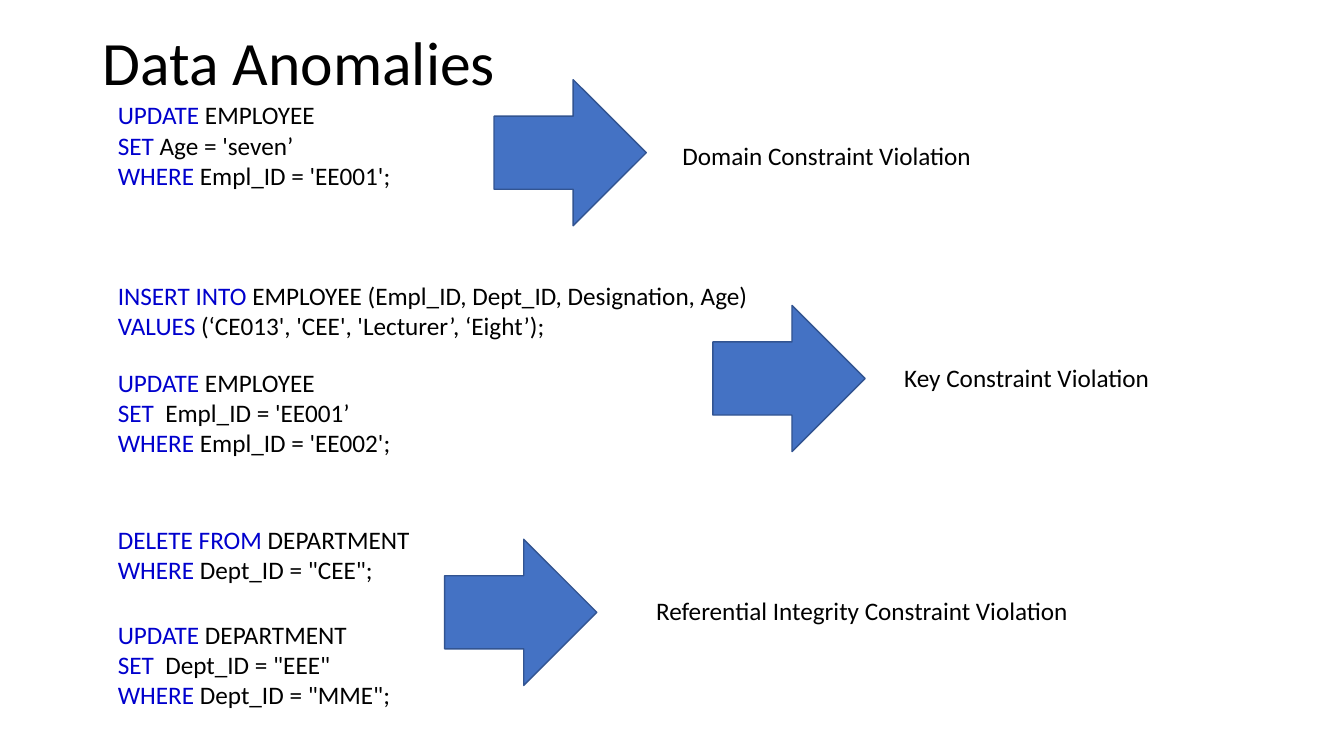
import pptx
import pptx.util
import pptx.dml.color
import pptx.enum.shapes
import pptx.enum.text

Inches = pptx.util.Inches
Pt = pptx.util.Pt
ANCHOR = pptx.enum.text.MSO_ANCHOR
FIT = pptx.enum.text.MSO_AUTO_SIZE

COLORS = {"text": "000000", "key": "0000CD", "fill": "4472C4", "edge": "325491"}
FONT = "Calibri"
TITLE = "Data Anomalies"
QUERIES = [
    (0.94, [("UPDATE", " EMPLOYEE"),
            ("SET", " Age = 'seven’"),
            ("WHERE", " Empl_ID = 'EE001';")]),
    (2.73, [("INSERT INTO", " EMPLOYEE (Empl_ID, Dept_ID, Designation, Age)"),
            ("VALUES", " (‘CE013', 'CEE', 'Lecturer’, ‘Eight’);")]),
    (3.59, [("UPDATE", " EMPLOYEE"),
            ("SET", "  Empl_ID = 'EE001’"),
            ("WHERE", " Empl_ID = 'EE002';")]),
    (5.15, [("DELETE FROM", " DEPARTMENT"),
            ("WHERE", ' Dept_ID = "CEE";')]),
    (6.09, [("UPDATE", " DEPARTMENT"),
            ("SET", '  Dept_ID = "EEE"'),
            ("WHERE", ' Dept_ID = "MME";')]),
]
ARROWS = [(4.9, 0.79), (7.07, 3.03), (4.41, 5.35)]
LABELS = [
    (6.67, 1.34, 3.1, "Domain Constraint Violation"),
    (8.87, 3.55, 2.66, "Key Constraint Violation"),
    (6.41, 5.86, 4.33, "Referential Integrity Constraint Violation"),
]


def color(name):
    return pptx.dml.color.RGBColor.from_string(COLORS[name])


def add_box(slide, left, top, width, height, lines, size=18, wrap=True):
    box = slide.shapes.add_textbox(
        Inches(left), Inches(top), Inches(width), Inches(height))
    frame = box.text_frame
    frame.word_wrap = wrap
    frame.auto_size = FIT.SHAPE_TO_FIT_TEXT
    for i, parts in enumerate(lines):
        para = frame.paragraphs[0] if i == 0 else frame.add_paragraph()
        for name, text in parts:
            run = para.add_run()
            run.text = text
            run.font.name = FONT
            run.font.size = Pt(size)
            run.font.color.rgb = color(name)
    return frame


def add_arrow(slide, left, top):
    arrow = slide.shapes.add_shape(
        pptx.enum.shapes.MSO_SHAPE.RIGHT_ARROW,
        Inches(left), Inches(top), Inches(1.51), Inches(1.45))
    arrow.shadow.inherit = False
    arrow.fill.solid()
    arrow.fill.fore_color.rgb = color("fill")
    arrow.line.color.rgb = color("edge")
    arrow.line.width = Pt(1)


def main():
    deck = pptx.Presentation()
    deck.slide_width = Inches(13.33)
    deck.slide_height = Inches(7.5)
    slide = deck.slides.add_slide(deck.slide_layouts[6])

    title = add_box(slide, 0.92, -0.08, 11.5, 1.45, [[("text", TITLE)]], 44)
    title.auto_size = FIT.NONE
    title.vertical_anchor = ANCHOR.MIDDLE
    title.paragraphs[0].line_spacing = 0.9

    for top, rows in QUERIES:
        lines = [[("key", key), ("text", rest)] for key, rest in rows]
        add_box(slide, 1.07, top, 6.67, 0.1 + 0.3 * len(rows), lines)
    for left, top in ARROWS:
        add_arrow(slide, left, top)
    for left, top, width, text in LABELS:
        add_box(slide, left, top, width, 0.4, [[("text", text)]], wrap=False)

    deck.save("out.pptx")


if __name__ == "__main__":
    main()
